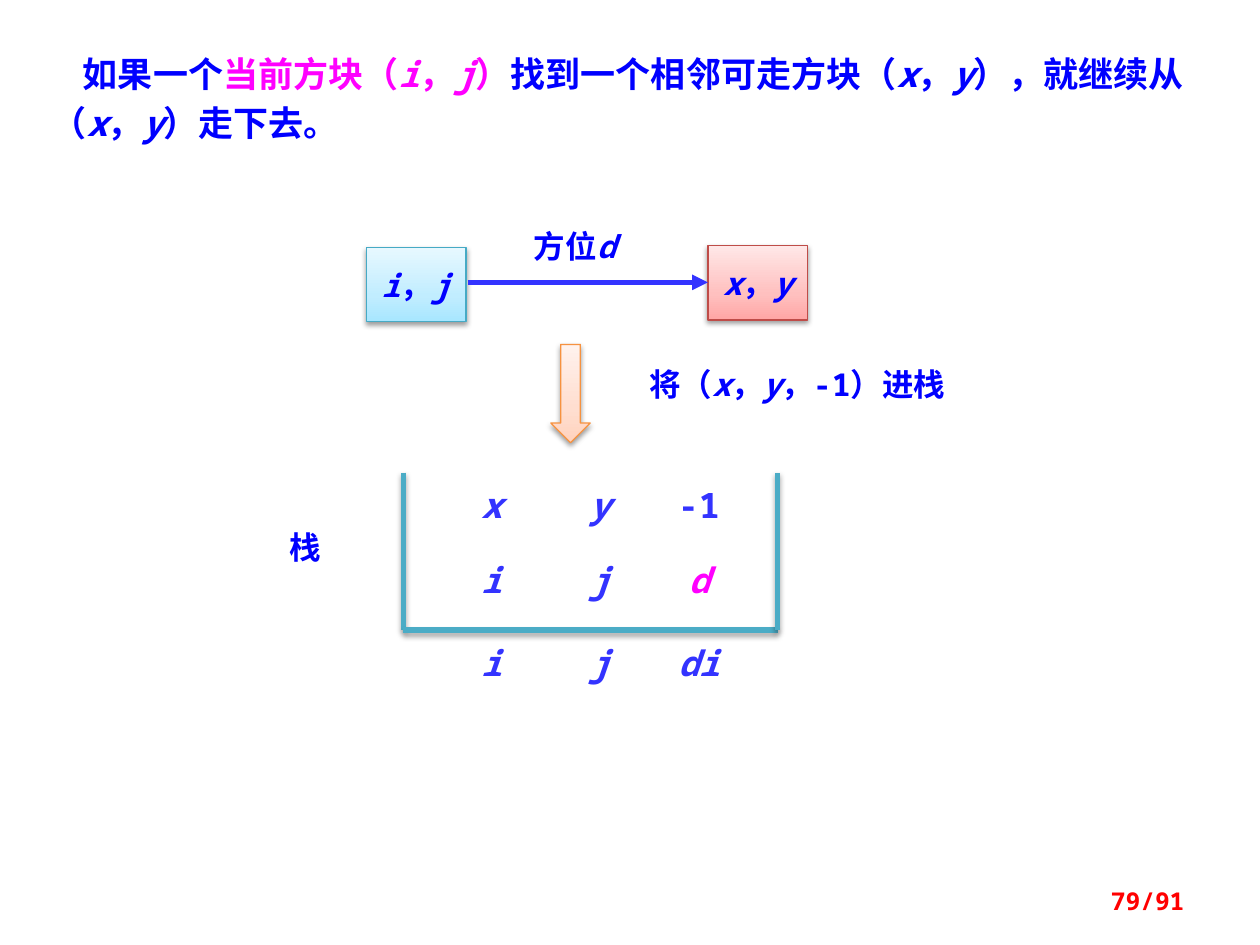
from copy import deepcopy

from lxml.etree import SubElement
from pptx import Presentation
from pptx.dml.color import RGBColor
from pptx.enum.shapes import MSO_CONNECTOR, MSO_SHAPE
from pptx.enum.text import MSO_ANCHOR, PP_ALIGN
from pptx.oxml.ns import qn
from pptx.util import Pt

MONO, HAN = "Noto Sans Mono", "Noto Sans CJK SC"
BLUE, INK, PINK, RED, TEAL = "0000FF", "3333FF", "FF00FF", "FF0000", "4BACC6"


def paint(color, code):
    color.rgb = RGBColor.from_string(code)


def write(frame, parts, size, align=PP_ALIGN.CENTER, anchor=MSO_ANCHOR.TOP, wrap=True):
    """Fill a frame from (text, colour) parts; letters between asterisks are italic."""
    frame.word_wrap, frame.vertical_anchor = wrap, anchor
    para = frame.paragraphs[0]
    para.alignment = align
    for text, code in parts:
        for k, piece in enumerate(text.split("*")):
            if not piece:
                continue
            run = para.add_run()
            run.text = piece
            look = {"size": Pt(size), "name": MONO, "bold": True, "italic": k % 2 == 1}
            for name, value in look.items():
                setattr(run.font, name, value)
            paint(run.font.color, code)
            SubElement(run.font._element, qn("a:ea"), typeface=HAN)
    return para


def label(slide, box, text, size=18, code=BLUE, **opts):
    frame = slide.shapes.add_textbox(*map(Pt, box)).text_frame
    return write(frame, [(text, code)], size, **opts)


def shade(effects, alpha, dist):
    """Add a soft shadow that falls straight down."""
    drop = SubElement(effects, qn("a:outerShdw"), blurRad=str(Pt(3.1)),
                      dist=str(Pt(dist)), dir="5400000", rotWithShape="0")
    black = SubElement(drop, qn("a:srgbClr"), val="000000")
    SubElement(black, qn("a:alpha"), val=str(alpha * 1000))


def block(slide, kind, box, tones, edge):
    """Draw a shape with a three-tone gradient, dark at the bottom."""
    shape = slide.shapes.add_shape(kind, *map(Pt, box))
    shape.fill.gradient()
    shape.fill.gradient_angle = 90
    props = shape._element.spPr
    stops = props.find(".//" + qn("a:gsLst"))
    stops.append(deepcopy(stops[0]))
    for stop, tone, place in zip(shape.fill.gradient_stops, tones, (0, 0.35, 1)):
        paint(stop.color, tone)
        stop.position = place
    paint(shape.line.color, edge)
    shape.line.width = Pt(0.75)
    shape.shadow.inherit = False
    shade(props.find(qn("a:effectLst")), 38, 1.6)
    return shape


def stroke(slide, start, end, code):
    """Draw a thick line; return it with its empty effect list."""
    line = slide.shapes.add_connector(MSO_CONNECTOR.STRAIGHT, *map(Pt, (*start, *end)))
    paint(line.line.color, code)
    line.line.width = Pt(3)
    return line, SubElement(line._element.spPr, qn("a:effectLst"))


def intro(slide, box):
    frame = slide.shapes.add_textbox(*map(Pt, box)).text_frame
    para = write(frame, [
        ("如果一个", BLUE),
        ("当前方块（*i*，*j*）", PINK),
        ("找到一个相邻可走方块（*x*，*y*），就继续从（*x*，*y*）走下去。", BLUE),
    ], 20, align=PP_ALIGN.LEFT)
    para.line_spacing = Pt(28)
    para._p.get_or_add_pPr().set("indent", str(Pt(18)))


def move(slide, box):
    """Show the step from the current square to the next one."""
    left, top, width, height = box
    side = 57
    far = left + width - side
    cells = (
        (left, top + 1, "*i*，*j*", ("A7E6FF", "C1EDFF", "E7F8FF"), "46AAC5"),
        (far, top, "*x*，*y*", ("FFA6A5", "FFC0BF", "FFE7E7"), "BF4C48"),
    )
    for x, y, text, tones, edge in cells:
        cell = block(slide, MSO_SHAPE.RECTANGLE, (x, y, side, height), tones, edge)
        write(cell.text_frame, [(text, BLUE)], 18, anchor=MSO_ANCHOR.MIDDLE, wrap=False)
    level = top + height / 2 - 0.3
    line, _ = stroke(slide, (left + side + 1, level), (far, level), INK)
    SubElement(line.line._get_or_add_ln(), qn("a:tailEnd"), type="triangle")
    label(slide, (left + 88.5, top - 14.4, 68, 29), "方位*d*", align=PP_ALIGN.LEFT)


def push(slide, box):
    left, top, width, height = box
    block(slide, MSO_SHAPE.DOWN_ARROW, (left, top, 22.5, height),
          ("FFD2BD", "FFDED0", "FFF2ED"), "F69240")
    label(slide, (left + 34, top + 8, width - 34, 29), "将（*x*，*y*，-1）进栈")


def stack(slide, box):
    """Draw the open stack, its rows, and the field names below it."""
    left, top, width, height = box
    right, base = left + width, top + height
    corners = [(left, top), (left, base), (right, base), (right, top)]
    for start, end in zip(corners, corners[1:]):
        shade(stroke(slide, start, end, TEAL)[1], 35, 1.8)
    label(slide, (left - 90, top + 28, 68, 29), "栈")
    rows = (
        (2.9, ("*x*", "*y*", "-1")),
        (45.4, ("*i*", "*j*", "*d*")),
        (93, ("*i*", "*j*", "*di*")),
    )
    for drop, row in rows:
        for shift, text in zip((22.5, 84.5, 141), row):
            code = PINK if text == "*d*" else INK
            label(slide, (left + shift, top + drop, 56, 31.5), text, 20, code)


def main():
    deck = Presentation()
    deck.slide_width, deck.slide_height = Pt(720), Pt(540)
    slide = deck.slides.add_slide(deck.slide_layouts[6])
    intro(slide, (22.3, 22.3, 680.5, 61))
    move(slide, (209.3, 140.4, 252.2, 42.5))
    push(slide, (314.8, 196.8, 247.5, 56.2))
    stack(slide, (230.4, 270, 214, 90))
    label(slide, (516, 500.5, 168, 28.8), "79/91", 14, RED,
          align=PP_ALIGN.RIGHT, anchor=MSO_ANCHOR.MIDDLE)
    deck.save("out.pptx")


if __name__ == "__main__":
    main()
